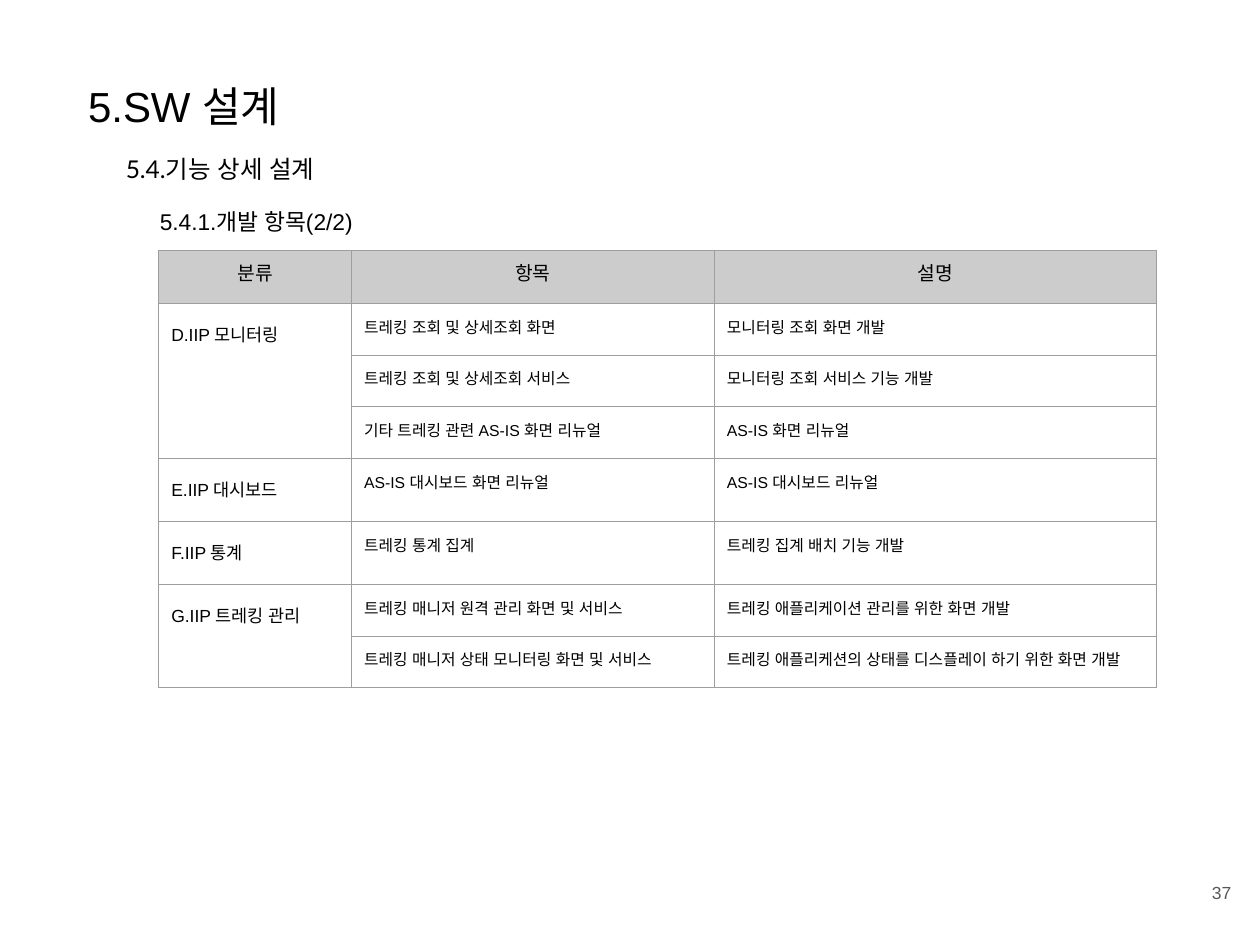
from dataclasses import dataclass

from lxml import etree
from pptx import Presentation
from pptx.dml.color import RGBColor
from pptx.enum.text import MSO_ANCHOR, PP_ALIGN
from pptx.oxml.ns import qn
from pptx.util import Inches, Pt

LEFT, CENTER, RIGHT = PP_ALIGN.LEFT, PP_ALIGN.CENTER, PP_ALIGN.RIGHT
TOP, MIDDLE = MSO_ANCHOR.TOP, MSO_ANCHOR.MIDDLE

COLORS = {
    "text": "000000",
    "page_number": "595959",
    "header": "CCCCCC",
    "border": "9E9E9E",
}
MARGINS = ("margin_left", "margin_top", "margin_right", "margin_bottom")
COLUMN_WIDTHS = (1.53, 2.88, 3.51)
HEADER_HEIGHT, ROW_HEIGHT, SINGLE_ROW_HEIGHT = 0.42, 0.41, 0.5
BORDER_WIDTH = 0.75


@dataclass
class TextStyle:
    size: float
    font: str = "Arial"
    color: str = "text"
    alignment: PP_ALIGN = LEFT
    line_spacing: float = 1.0
    space_after: float = 0


@dataclass
class Label:
    text: str
    left: float
    top: float
    width: float
    height: float
    style: TextStyle
    anchor: MSO_ANCHOR = TOP


@dataclass
class Category:
    name: str
    items: list[tuple[str, str]]

    def row_heights(self) -> list[float]:
        count = len(self.items)
        return [SINGLE_ROW_HEIGHT if count == 1 else ROW_HEIGHT] * count


LABELS = [
    Label("5.SW 설계", 0.6, 0.54, 8.52, 0.54, TextStyle(24, space_after=16)),
    Label("5.4.기능 상세 설계", 0.9, 1.09, 5.6, 0.47,
          TextStyle(14, "Lato", line_spacing=1.15, space_after=16)),
    Label("37", 9.27, 6.8, 0.6, 0.57,
          TextStyle(10, color="page_number", alignment=RIGHT), MIDDLE),
    Label("5.4.1.개발 항목(2/2)", 1.17, 1.52, 5.94, 2.12,
          TextStyle(13, line_spacing=1.15)),
]
HEADINGS = ("분류", "항목", "설명")
CATEGORIES = [
    Category("D.IIP 모니터링", [
        ("트레킹 조회 및 상세조회 화면", "모니터링 조회 화면 개발"),
        ("트레킹 조회 및 상세조회 서비스", "모니터링 조회 서비스 기능 개발"),
        ("기타 트레킹 관련 AS-IS 화면 리뉴얼", "AS-IS 화면 리뉴얼"),
    ]),
    Category("E.IIP 대시보드", [
        ("AS-IS 대시보드 화면 리뉴얼", "AS-IS 대시보드 리뉴얼"),
    ]),
    Category("F.IIP 통계", [
        ("트레킹 통계 집계", "트레킹 집계 배치 기능 개발"),
    ]),
    Category("G.IIP 트레킹 관리", [
        ("트레킹 매니저 원격 관리 화면 및 서비스",
         "트레킹 애플리케이션 관리를 위한 화면 개발"),
        ("트레킹 매니저 상태 모니터링 화면 및 서비스",
         "트레킹 애플리케션의 상태를 디스플레이 하기 위한 화면 개발"),
    ]),
]
HEADING_STYLE = TextStyle(11, alignment=CENTER)
CATEGORY_STYLE = TextStyle(10, line_spacing=1.5)
ITEM_STYLE = TextStyle(9, line_spacing=1.15)


def set_margins(container) -> None:
    for margin in MARGINS:
        setattr(container, margin, Inches(0.1))


def write_text(text_frame, text: str, style: TextStyle) -> None:
    paragraph = text_frame.paragraphs[0]
    run = paragraph.add_run()
    run.text = text
    paragraph_format = {
        "alignment": style.alignment,
        "line_spacing": style.line_spacing,
        "space_before": Pt(0),
        "space_after": Pt(style.space_after),
    }
    for name, value in paragraph_format.items():
        setattr(paragraph, name, value)
    font_format = {"name": style.font, "size": Pt(style.size), "bold": False}
    for name, value in font_format.items():
        setattr(run.font, name, value)
    run.font.color.rgb = RGBColor.from_string(COLORS[style.color])
    properties = run._r.get_or_add_rPr()
    for script in ("ea", "cs"):
        etree.SubElement(properties, qn(f"a:{script}"), typeface=style.font)


def add_label(slide, label: Label) -> None:
    bounds = (label.left, label.top, label.width, label.height)
    shape = slide.shapes.add_textbox(*map(Inches, bounds))
    text_frame = shape.text_frame
    text_frame.word_wrap = True
    text_frame.vertical_anchor = label.anchor
    set_margins(text_frame)
    write_text(text_frame, label.text, label.style)


def add_borders(cell) -> None:
    properties = cell._tc.get_or_add_tcPr()
    for position, side in enumerate(("lnL", "lnR", "lnT", "lnB")):
        line = etree.Element(qn(f"a:{side}"), w=str(Pt(BORDER_WIDTH)))
        fill = etree.SubElement(line, qn("a:solidFill"))
        etree.SubElement(fill, qn("a:srgbClr"), val=COLORS["border"])
        properties.insert(position, line)


def add_item_table(slide) -> None:
    row_heights = [HEADER_HEIGHT]
    for category in CATEGORIES:
        row_heights += category.row_heights()
    shape = slide.shapes.add_table(
        len(row_heights), len(COLUMN_WIDTHS), Inches(1.26), Inches(1.99),
        Inches(sum(COLUMN_WIDTHS)), Inches(sum(row_heights)))
    table = shape.table
    table.first_row = False
    table.horz_banding = False
    for column, width in zip(table.columns, COLUMN_WIDTHS):
        column.width = Inches(width)
    for index, (row, height) in enumerate(zip(table.rows, row_heights)):
        row.height = Inches(height)
        for cell in row.cells:
            set_margins(cell)
            if index:
                cell.fill.background()
            else:
                cell.fill.solid()
                cell.fill.fore_color.rgb = RGBColor.from_string(COLORS["header"])
            add_borders(cell)

    for index, heading in enumerate(HEADINGS):
        write_text(table.cell(0, index).text_frame, heading, HEADING_STYLE)
    first = 1
    for category in CATEGORIES:
        last = first + len(category.items) - 1
        category_cell = table.cell(first, 0)
        if last > first:
            category_cell.merge(table.cell(last, 0))
        write_text(category_cell.text_frame, category.name, CATEGORY_STYLE)
        for row_index, item in enumerate(category.items, first):
            for column_index, text in enumerate(item, 1):
                cell = table.cell(row_index, column_index)
                write_text(cell.text_frame, text, ITEM_STYLE)
        first = last + 1


def main() -> None:
    presentation = Presentation()
    presentation.slide_width = Inches(10)
    presentation.slide_height = Inches(7.5)
    slide = presentation.slides.add_slide(presentation.slide_layouts[6])
    for label in LABELS:
        add_label(slide, label)
    add_item_table(slide)
    presentation.save("out.pptx")


if __name__ == "__main__":
    main()
